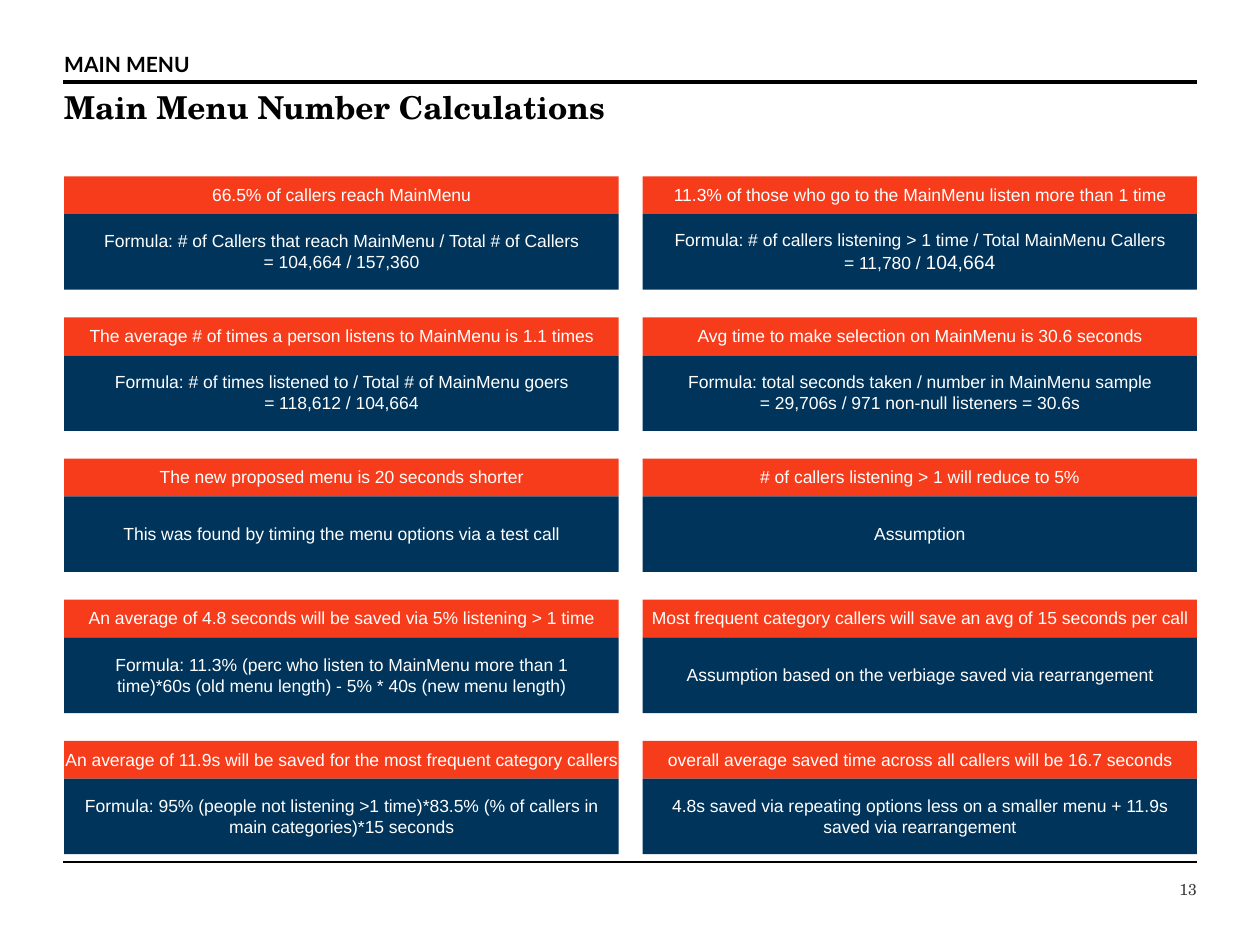
from pptx import Presentation
from pptx.dml.color import RGBColor
from pptx.enum import shapes, text
from pptx.oxml import ns
from pptx.util import Inches, Pt
from lxml import etree

BLACK = RGBColor(0x00, 0x00, 0x00)
WHITE = RGBColor(0xFF, 0xFF, 0xFF)
GREY = RGBColor(0x3A, 0x38, 0x38)
RED = RGBColor(0xF7, 0x3C, 0x1B)
NAVY = RGBColor(0x00, 0x34, 0x5B)
SERIF = "TeX Gyre Schola"

CARDS = [
    ("66.5% of callers reach MainMenu",
     "Formula: # of Callers that reach MainMenu / Total # of Callers\n"
     "= 104,664 / 157,360", ""),
    ("11.3% of those who go to the MainMenu listen more than 1 time",
     "Formula: # of callers listening > 1 time / Total MainMenu Callers\n"
     "= 11,780 / ", "104,664"),
    ("The average # of times a person listens to MainMenu is 1.1 times",
     "Formula: # of times listened to / Total # of MainMenu goers\n"
     "= 118,612 / 104,664", ""),
    ("Avg time to make selection on MainMenu is 30.6 seconds",
     "Formula: total seconds taken / number in MainMenu sample\n"
     "= 29,706s / 971 non-null listeners = 30.6s", ""),
    ("The new proposed menu is 20 seconds shorter",
     "This was found by timing the menu options via a test call", ""),
    ("# of callers listening > 1 will reduce to 5%", "Assumption", ""),
    ("An average of 4.8 seconds will be saved via 5% listening > 1 time",
     "Formula: 11.3% (perc who listen to MainMenu more than 1 time)*60s "
     "(old menu length) - 5% * 40s (new menu length)", ""),
    ("Most frequent category callers will save an avg of 15 seconds per call",
     "Assumption based on the verbiage saved via rearrangement", ""),
    ("An average of 11.9s will be saved for the most frequent category callers",
     "Formula: 95% (people not listening >1 time)*83.5% "
     "(% of callers in main categories)*15 seconds", ""),
    ("overall average saved time across all callers will be 16.7 seconds",
     "4.8s saved via repeating options less on a smaller menu + 11.9s "
     "saved via rearrangement", ""),
]


def write(shape, words, font="Arial", size=10, color=WHITE, bold=False,
          align=text.PP_ALIGN.CENTER, anchor=text.MSO_ANCHOR.MIDDLE,
          pads=(0.1, 0.02, 0.1, 0.03), wrap=True, space=1.0, tail=""):
    frame = shape.text_frame
    frame.text = words
    frame.auto_size = text.MSO_AUTO_SIZE.NONE
    frame.word_wrap = wrap
    frame.vertical_anchor = anchor
    (frame.margin_left, frame.margin_top,
     frame.margin_right, frame.margin_bottom) = map(Inches, pads)
    if tail:
        frame.paragraphs[-1].add_run().text = tail
    for para in frame.paragraphs:
        para.alignment = align
        para.line_spacing = space
        for run in para.runs:
            run.font.name = font
            run.font.size = Pt(size)
            run.font.bold = bold
            run.font.color.rgb = color
    if tail:
        run.font.size = Pt(size + 1)


def place(shape, left, top, width, height):
    shape.left, shape.top = Inches(left), Inches(top)
    shape.width, shape.height = Inches(width), Inches(height)


def label(slide, left, top, width, height, words, **style):
    box = slide.shapes.add_textbox(
        Inches(left), Inches(top), Inches(width), Inches(height))
    write(box, words, font=SERIF, **style)


def rule(slide, top, weight):
    line = slide.shapes.add_connector(
        shapes.MSO_CONNECTOR.STRAIGHT,
        Inches(0.5), Inches(top), Inches(9.5), Inches(top))
    line.line.color.rgb = BLACK
    line.line.width = Pt(weight)
    etree.SubElement(line._element.spPr, ns.qn("a:effectLst"))


def bar(slide, left, top, height, fill, words, **style):
    box = slide.shapes.add_shape(
        shapes.MSO_SHAPE.RECTANGLE,
        Inches(left), Inches(top), Inches(4.4), Inches(height))
    box.shadow.inherit = False
    box.fill.solid()
    box.fill.fore_color.rgb = fill
    box.line.fill.background()
    write(box, words, **style)


def card(slide, left, top, head, body, tail):
    bar(slide, left, top, 0.3, RED, head, wrap=False)
    bar(slide, left, top + 0.3, 0.6, NAVY, body, tail=tail)


def main():
    deck = Presentation()
    deck.slide_width, deck.slide_height = Inches(10), Inches(7.5)
    slide = deck.slides.add_slide(deck.slide_layouts[5])
    rule(slide, 0.65, 2.5)
    rule(slide, 6.84, 1)

    head = dict(color=BLACK, bold=True, align=text.PP_ALIGN.LEFT,
                anchor=text.MSO_ANCHOR.TOP, space=0.9,
                pads=(0.01, 0.05, 0.01, 0.05))
    title = slide.shapes.title
    place(title, 0.5, 0.38, 9, 0.24)
    write(title, "MAIN MENU", font="Lato", size=12, **head)
    label(slide, 0.5, 0.68, 9, 0.6, "Main Menu Number Calculations",
          size=18, **head)
    label(slide, 8.78, 6.93, 0.72, 0.26, "13", size=9, color=GREY,
          align=text.PP_ALIGN.RIGHT, pads=(0, 0.05, 0, 0.05))

    for i, (name, body, tail) in enumerate(CARDS):
        row, col = divmod(i, 2)
        card(slide, (0.51, 5.1)[col], 1.4 + 1.12 * row, name, body, tail)
    deck.save("out.pptx")


if __name__ == "__main__":
    main()
